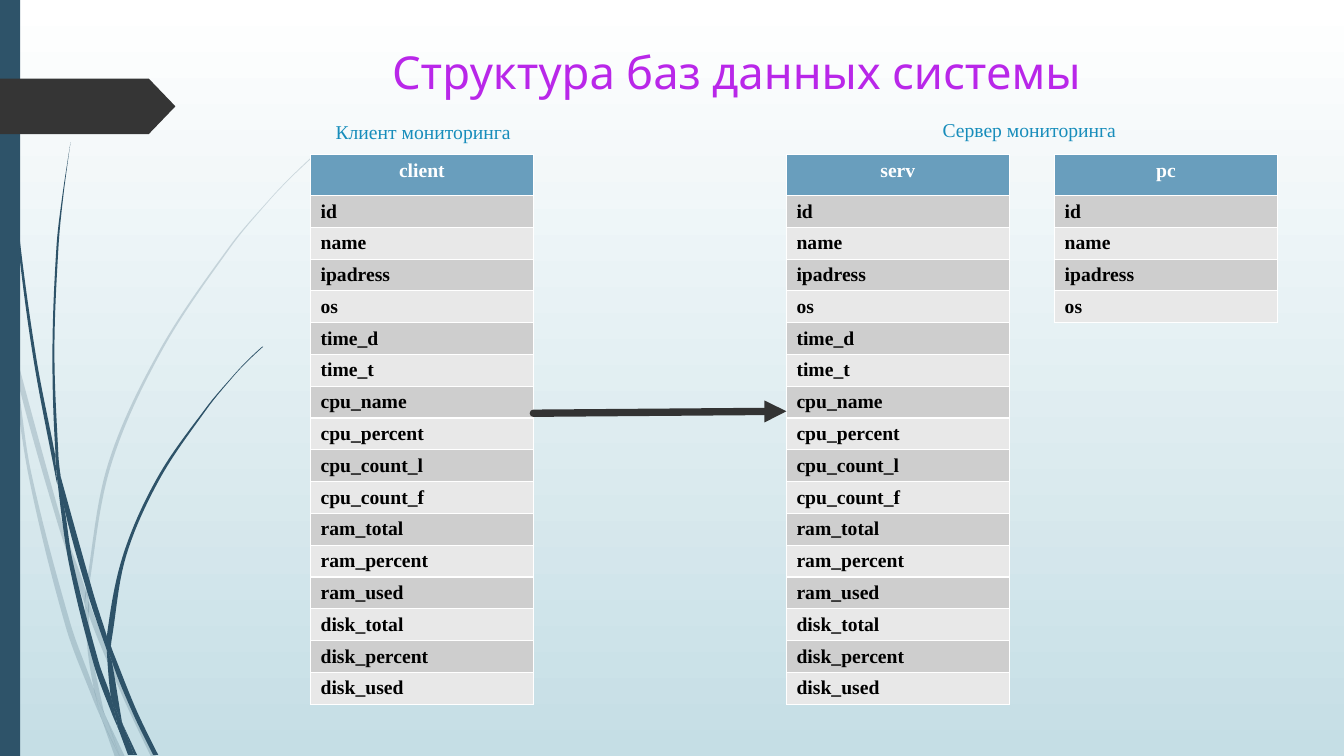
from math import hypot

from lxml import etree
from pptx import Presentation
from pptx.dml.color import RGBColor
from pptx.enum import shapes, text
from pptx.oxml import ns
from pptx.util import Inches, Pt

COLORS = {
    "sky": "C5DEE5", "white": "FFFFFF", "navy": "2E5369", "tag": "353535",
    "title": "B927E9", "label": "178DBB", "header": "699EBD",
    "odd": "CECECE", "even": "E8E8E8", "black": "000000", "arrow": "333333",
}
SERIF = "Times New Roman"


def write(frame, words, size=14, font=SERIF, color="black", bold=False,
          align=text.PP_ALIGN.LEFT):
    """Put one formatted line of text in a text frame."""
    para = frame.paragraphs[0]
    para.alignment = align
    span = para.add_run()
    span.text = words
    span.font.size = Pt(size)
    span.font.name = font
    span.font.bold = bold
    span.font.color.rgb = RGBColor.from_string(COLORS[color])


def paint(shape, color):
    """Give a shape a plain fill with no outline or shadow."""
    shape.shadow.inherit = False
    shape.line.fill.background()
    shape.fill.solid()
    shape.fill.fore_color.rgb = RGBColor.from_string(COLORS[color])


deck = Presentation()
deck.slide_width, deck.slide_height = Inches(13.33), Inches(7.5)
page = deck.slides.add_slide(deck.slide_layouts[6])

# Background: white at the top, pale blue at the bottom
backdrop = page.background.fill
backdrop.gradient()
backdrop.gradient_angle = 270
for stop, color in zip(backdrop.gradient_stops, ("white", "sky")):
    stop.color.rgb = RGBColor.from_string(COLORS[color])

# Grass blades: outline points of each piece, pale ones behind dark ones
pale_blades = [
    [(.11, 3.5), (.09, 3.22), (0, 2.82), (0, 2.99), (.1, 3.44)],
    [(.58, 5.22), (.84, 5.99), (.85, 5.86), (.62, 5.2), (.14, 3.45), (.17, 3.76)],
    [(.92, 6.07), (.88, 5.96), (.88, 6.1), (1.23, 6.94), (1.5, 7.51), (1.55, 7.51),
     (1.27, 6.92)],
    [(1.19, 7.51), (1.24, 7.51), (1.05, 7.11)],
    [(.93, 6.83), (.7, 6.19), (.31, 4.69), (.17, 3.76), (.11, 3.5), (.28, 4.7),
     (.65, 6.21), (.92, 6.93), (1.01, 7.14), (.99, 7.07)],
    [(.84, 5.99), (.87, 6.46), (.93, 6.83), (.96, 6.92), (1.05, 7.11), (1.03, 7.06),
     (.91, 6.46), (.88, 6.1), (.88, 6.08)],
    [(.88, 5.84), (1.1, 4.62), (1.6, 3.49), (2.29, 2.45), (2.68, 1.98), (2.9, 1.75),
     (3.12, 1.54), (3.12, 1.53), (2.89, 1.75), (2.68, 1.97), (2.28, 2.44),
     (1.58, 3.48), (1.07, 4.61), (.85, 5.84), (.85, 5.86), (.88, 5.96)],
    [(1.01, 7.14), (1.14, 7.51), (1.19, 7.51)],
    [(.88, 6.08), (.88, 6.1), (.88, 5.96), (.85, 5.86), (.84, 5.99)],
    [(.96, 6.92), (.93, 6.83), (.99, 7.07), (1.01, 7.14), (1.19, 7.51), (1.05, 7.11)],
]
dark_blades = [
    [(.07, 1.1), (.17, 2.33), (.33, 3.55), (.56, 4.77), (.57, 4.81), (.55, 4.57),
     (.55, 4.53), (.36, 3.55), (.19, 2.32), (.08, 1.09), (.05, .48), (.04, 0),
     (.03, 0), (.04, .48)],
    [(.88, 5.92), (1.06, 6.45), (1.06, 6.33), (1.06, 6.31), (.93, 5.9), (.6, 4.72),
     (.64, 5.05)],
    [(1.13, 6.49), (1.1, 6.41), (1.11, 6.56), (1.32, 7.08), (1.52, 7.49),
     (1.57, 7.49), (1.36, 7.06)],
    [(1.1, 6.91), (.98, 6.57), (.72, 5.56), (.64, 5.05), (.57, 4.77), (.68, 5.57),
     (.93, 6.59), (1.11, 7.08), (1.17, 7.22), (1.16, 7.17)],
    [(.6, 4.72), (.58, 4.53), (.54, 3.49), (.58, 2.45), (.63, 1.93), (.7, 1.41),
     (.62, 1.93), (.56, 2.45), (.52, 3.49), (.55, 4.49)],
    [(1.33, 7.49), (1.36, 7.49), (1.22, 7.19)],
    [(.57, 4.77), (.64, 5.05), (.6, 4.72), (.55, 4.49), (.55, 4.53)],
    [(1.11, 6.33), (1.25, 5.52), (1.58, 4.76), (2.05, 4.06), (2.31, 3.74),
     (2.45, 3.59), (2.61, 3.44), (2.6, 3.44), (2.45, 3.58), (2.31, 3.73),
     (2.04, 4.05), (1.56, 4.74), (1.22, 5.51), (1.06, 6.31), (1.1, 6.41)],
    [(1.17, 7.22), (1.27, 7.49), (1.31, 7.49)],
    [(1.06, 6.45), (1.1, 6.91), (1.16, 7.06), (1.22, 7.19), (1.21, 7.16),
     (1.11, 6.56), (1.09, 6.51)],
    [(1.06, 6.45), (1.09, 6.51), (1.11, 6.56), (1.1, 6.41), (1.06, 6.31), (1.06, 6.33)],
    [(1.16, 7.06), (1.1, 6.91), (1.16, 7.17), (1.17, 7.22), (1.3, 7.49), (1.33, 7.49),
     (1.22, 7.19)],
]
CORNER = 0.6  # neighbouring sides with a smaller cosine meet in a sharp corner
for i, points in enumerate(pale_blades + dark_blades):
    outline = [(Inches(x), Inches(y)) for x, y in points]
    builder = page.shapes.build_freeform(*outline[0])
    builder.add_line_segments(outline[1:] + outline[:1], close=False)
    blade = builder.convert_to_shape()
    paint(blade, "navy")
    if i < len(pale_blades):
        tint = blade.fill._xPr.find(".//" + ns.qn("a:srgbClr"))
        etree.SubElement(tint, ns.qn("a:alpha"), val="20000")

    # Direction of the curve at each point, none at a corner
    slopes = []
    for j, (x, y) in enumerate(outline):
        before, after = outline[j - 1], outline[(j + 1) % len(outline)]
        ax, ay, bx, by = x - before[0], y - before[1], after[0] - x, after[1] - y
        cosine = (ax * bx + ay * by) / (hypot(ax, ay) * hypot(bx, by))
        span = hypot(ax + bx, ay + by)
        slopes.append(((ax + bx) / span, (ay + by) / span) if cosine > CORNER else (0, 0))

    # Turn each straight side into a curve
    left, top = min(x for x, y in outline), min(y for x, y in outline)
    for j, side in enumerate(list(blade._element.iter(ns.qn("a:lnTo")))):
        k = (j + 1) % len(outline)
        (x1, y1), (x2, y2) = outline[j], outline[k]
        reach = hypot(x2 - x1, y2 - y1) / 3
        controls = [(x1 + slopes[j][0] * reach, y1 + slopes[j][1] * reach),
                    (x2 - slopes[k][0] * reach, y2 - slopes[k][1] * reach), (x2, y2)]
        curve = etree.Element(ns.qn("a:cubicBezTo"))
        for x, y in controls:
            etree.SubElement(curve, ns.qn("a:pt"), x=str(round(x - left)),
                             y=str(round(y - top)))
        side.getparent().replace(side, curve)

# Side bar and page tag
bar = page.shapes.add_shape(
    shapes.MSO_SHAPE.RECTANGLE, 0, 0, Inches(0.2), Inches(7.5))
paint(bar, "navy")
tag = page.shapes.add_shape(
    shapes.MSO_SHAPE.PENTAGON, 0, Inches(0.78), Inches(1.74), Inches(0.55))
tag.adjustments[0] = 0.48
paint(tag, "tag")

# Title and database labels
captions = [
    (3.79, 0.38, 7.47, 0.66, "Структура баз данных системы",
     dict(size=32.4, font="League Spartan", color="title")),
    (3.23, 1.14, 2.06, 0.34, "Клиент мониторинга", dict(color="label")),
    (9.25, 1.12, 2.06, 0.34, "Сервер мониторинга", dict(color="label")),
]
for x, y, width, height, words, style in captions:
    box = page.shapes.add_textbox(Inches(x), Inches(y), Inches(width), Inches(height))
    box.text_frame.word_wrap = True
    box.text_frame.vertical_anchor = text.MSO_ANCHOR.MIDDLE
    write(box.text_frame, words, **style)

# Database tables
pc_fields = ["id", "name", "ipadress", "os"]
all_fields = pc_fields + [
    "time_d", "time_t", "cpu_name", "cpu_percent", "cpu_count_l", "cpu_count_f",
    "ram_total", "ram_percent", "ram_used", "disk_total", "disk_percent", "disk_used"]
HEADER_HEIGHT = 0.41
ROW_HEIGHT = (5.46 - HEADER_HEIGHT) / len(all_fields)
for x, name, fields in [(3.08, "client", all_fields), (7.8, "serv", all_fields),
                        (10.46, "pc", pc_fields)]:
    height = HEADER_HEIGHT + ROW_HEIGHT * len(fields)
    table = page.shapes.add_table(
        len(fields) + 1, 1, Inches(x), Inches(1.53), Inches(2.21), Inches(height)).table
    for i, words in enumerate([name] + fields):
        is_header = i == 0
        table.rows[i].height = Inches(HEADER_HEIGHT if is_header else ROW_HEIGHT)
        cell = table.cell(i, 0)
        cell.margin_top = Inches(0.06 if is_header else 0.05)
        cell.margin_bottom = Inches(0.02)
        if is_header:
            write(cell.text_frame, words, color="white", bold=True,
                  align=text.PP_ALIGN.CENTER)
        else:
            write(cell.text_frame, words, bold=True)
        props = cell._tc.get_or_add_tcPr()
        for side in ("lnL", "lnR", "lnT", "lnB"):
            border = etree.SubElement(props, ns.qn("a:" + side), w=str(Pt(1)))
            solid = etree.SubElement(border, ns.qn("a:solidFill"))
            etree.SubElement(solid, ns.qn("a:srgbClr"), val=COLORS["white"])
        cell.fill.solid()
        shade = "header" if is_header else ("odd" if i % 2 else "even")
        cell.fill.fore_color.rgb = RGBColor.from_string(COLORS[shade])

# Arrow from client to server
arrow = page.shapes.add_connector(
    shapes.MSO_CONNECTOR.STRAIGHT, Inches(5.29), Inches(4.1), Inches(7.8), Inches(4.08))
arrow.line.width = Pt(5.25)
arrow.line.color.rgb = RGBColor.from_string(COLORS["arrow"])
stroke = arrow.line._get_or_add_ln()
stroke.set("cap", "rnd")
etree.SubElement(stroke, ns.qn("a:tailEnd"), type="triangle")
etree.SubElement(arrow._element.spPr, ns.qn("a:effectLst"))

deck.save("out.pptx")
